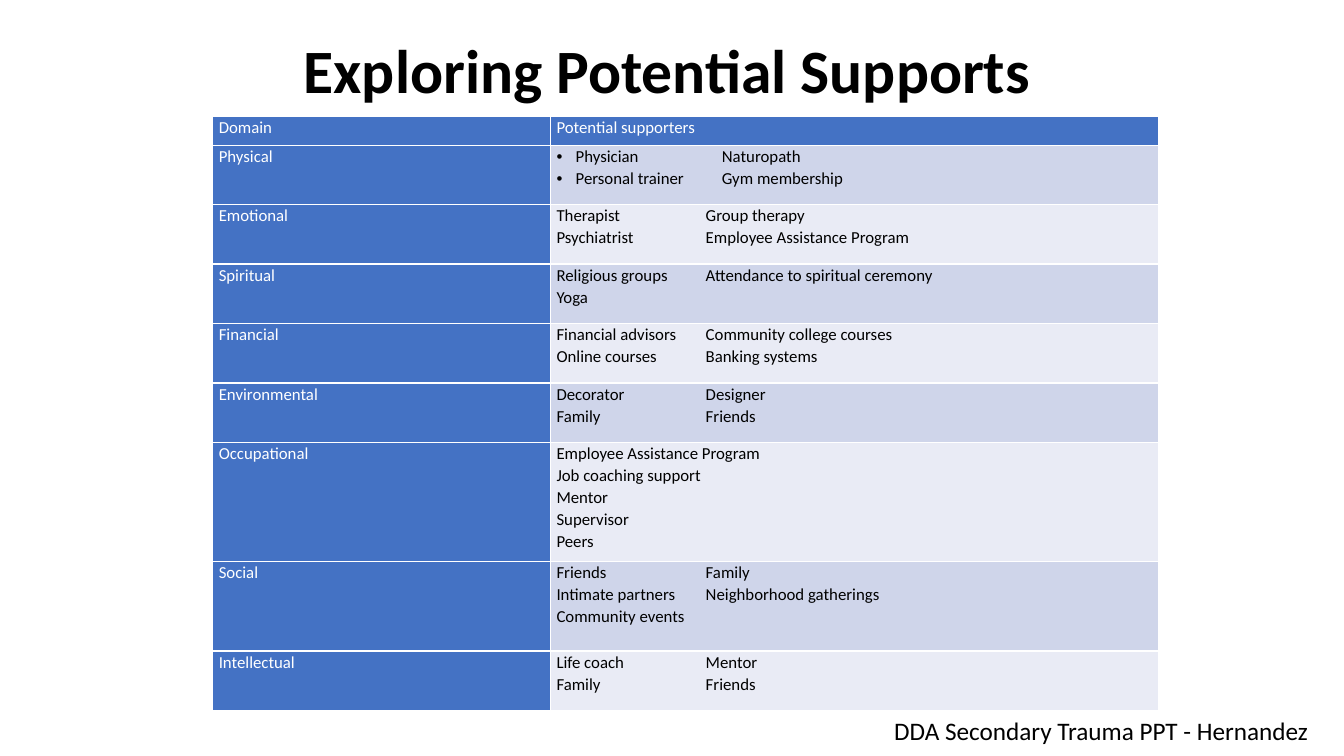
from lxml import etree
from pptx import Presentation
from pptx.dml.color import RGBColor
from pptx.enum.text import MSO_ANCHOR, PP_ALIGN
from pptx.oxml.ns import qn
from pptx.util import Inches, Pt

"""Build the slide that lists potential supports for each life domain."""

TITLE = "Exploring Potential Supports"
FOOTER = "DDA Secondary Trauma PPT - Hernandez"
HEADER = ("Domain", "Potential supporters")
SUPPORTS = [
    ("Physical", 0.59, ["Physician\tNaturopath", "Personal trainer\tGym membership"]),
    ("Emotional", 0.59, ["Therapist\tGroup therapy", "Psychiatrist\tEmployee Assistance Program"]),
    ("Spiritual", 0.59, ["Religious groups\tAttendance to spiritual ceremony", "Yoga"]),
    ("Financial", 0.59, ["Financial advisors\tCommunity college courses",
                         "Online courses\tBanking systems"]),
    ("Environmental", 0.59, ["Decorator\tDesigner", "Family\tFriends"]),
    ("Occupational", 1.18, ["Employee Assistance Program", "Job coaching support", "Mentor",
                            "Supervisor", "Peers"]),
    ("Social", 0.89, ["Friends\tFamily", "Intimate partners\tNeighborhood gatherings",
                      "Community events"]),
    ("Intellectual", 0.59, ["Life coach\tMentor", "Family\tFriends"]),
]
BULLETED = "Physical"
COLUMN_WIDTHS = (3.35, 6.03)
HEADER_HEIGHT = 0.29
TAB_STOP, BULLETED_TAB_STOP, BULLET_INDENT = 1.48, 1.64, 0.19

FONT = "Calibri"
BLACK = RGBColor(0x00, 0x00, 0x00)
WHITE = RGBColor(0xFF, 0xFF, 0xFF)
BLUE = RGBColor(0x44, 0x72, 0xC4)
BANDS = (RGBColor(0xCF, 0xD5, 0xEA), RGBColor(0xE9, 0xEB, 0xF5))


def write(frame, lines, size, color, bold=False, spacing=None):
    frame.text = "\n".join(lines)
    for paragraph in frame.paragraphs:
        paragraph.line_spacing = spacing
        for run in paragraph.runs:
            font = run.font
            font.name, font.size, font.bold = FONT, Pt(size), bold
            font.color.rgb = color


def fill_cell(cell, lines, fill, color):
    cell.margin_left = cell.margin_right = Inches(0.06)
    cell.margin_top = cell.margin_bottom = 0
    cell.fill.solid()
    cell.fill.fore_color.rgb = fill
    write(cell.text_frame, lines, 12, color, spacing=1.07)


def align_columns(paragraph, bulleted):
    properties = paragraph._p.get_or_add_pPr()
    if bulleted:
        properties.set("marL", str(Inches(BULLET_INDENT)))
        properties.set("indent", str(-Inches(BULLET_INDENT)))
        etree.SubElement(properties, qn("a:buFont"), typeface="Arial")
        etree.SubElement(properties, qn("a:buChar"), char="•")
    stop = Inches(BULLETED_TAB_STOP if bulleted else TAB_STOP)
    tabs = etree.SubElement(properties, qn("a:tabLst"))
    etree.SubElement(tabs, qn("a:tab"), pos=str(stop), algn="l")


presentation = Presentation()
presentation.slide_width, presentation.slide_height = Inches(13.33), Inches(7.5)
slide = presentation.slides.add_slide(presentation.slide_layouts[5])

title = slide.shapes.title
title.left, title.top, title.width, title.height = map(Inches, (2.31, 0.18, 8.62, 1.09))
write(title.text_frame, [TITLE], 44, BLACK, bold=True, spacing=0.9)
title.text_frame.vertical_anchor = MSO_ANCHOR.MIDDLE
title.text_frame.paragraphs[0].alignment = PP_ALIGN.CENTER

heights = [HEADER_HEIGHT] + [height for _, height, _ in SUPPORTS]
table = slide.shapes.add_table(
    len(heights), len(COLUMN_WIDTHS), Inches(2.11), Inches(1.15),
    Inches(sum(COLUMN_WIDTHS)), Inches(sum(heights))).table
for column, width in zip(table.columns, COLUMN_WIDTHS):
    column.width = Inches(width)
for row, height in zip(table.rows, heights):
    row.height = Inches(height)

for index, heading in enumerate(HEADER):
    fill_cell(table.cell(0, index), [heading], BLUE, WHITE)
for index, (domain, _, supporters) in enumerate(SUPPORTS):
    fill_cell(table.cell(index + 1, 0), [domain], BLUE, WHITE)
    cell = table.cell(index + 1, 1)
    fill_cell(cell, supporters, BANDS[index % 2], BLACK)
    for paragraph in cell.text_frame.paragraphs:
        align_columns(paragraph, domain == BULLETED)

footer = slide.shapes.add_textbox(Inches(8.77), Inches(7.05), Inches(5.05), Inches(0.4))
footer.text_frame.word_wrap = True
write(footer.text_frame, [FOOTER], 18, BLACK)

presentation.save("out.pptx")
